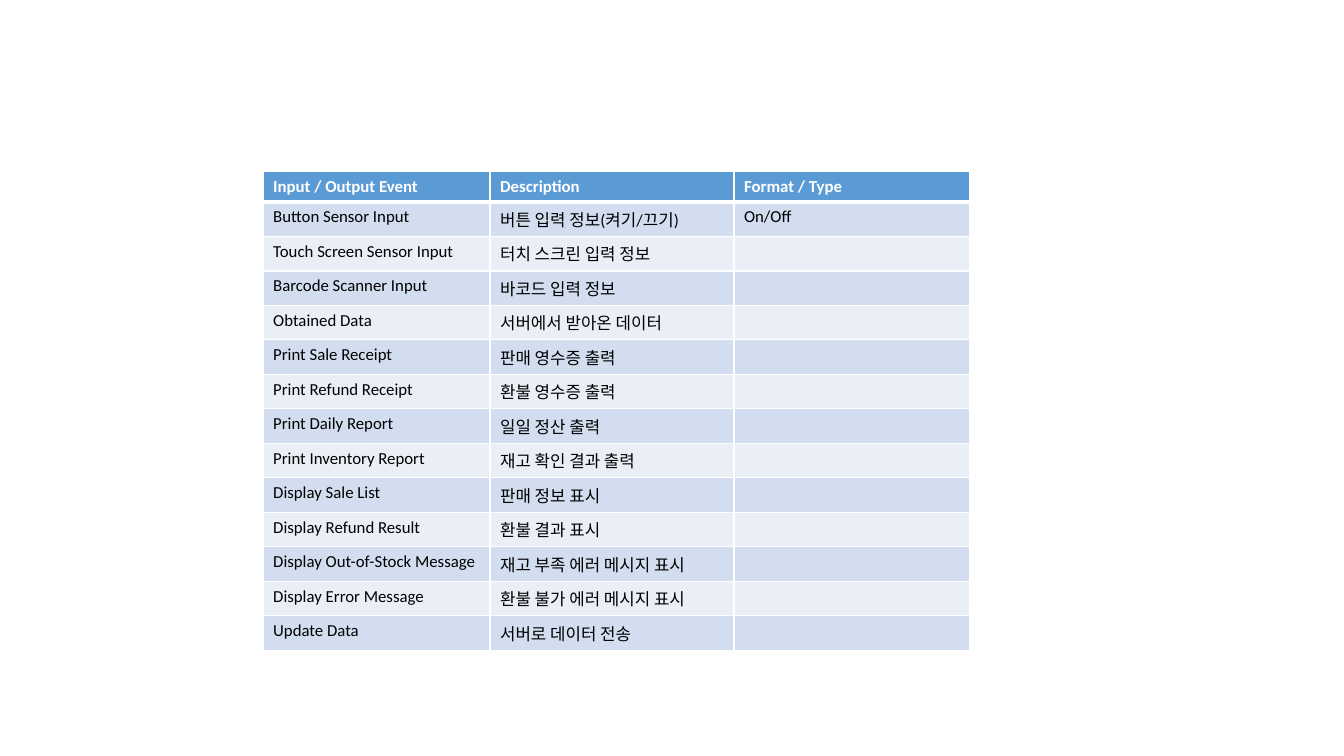
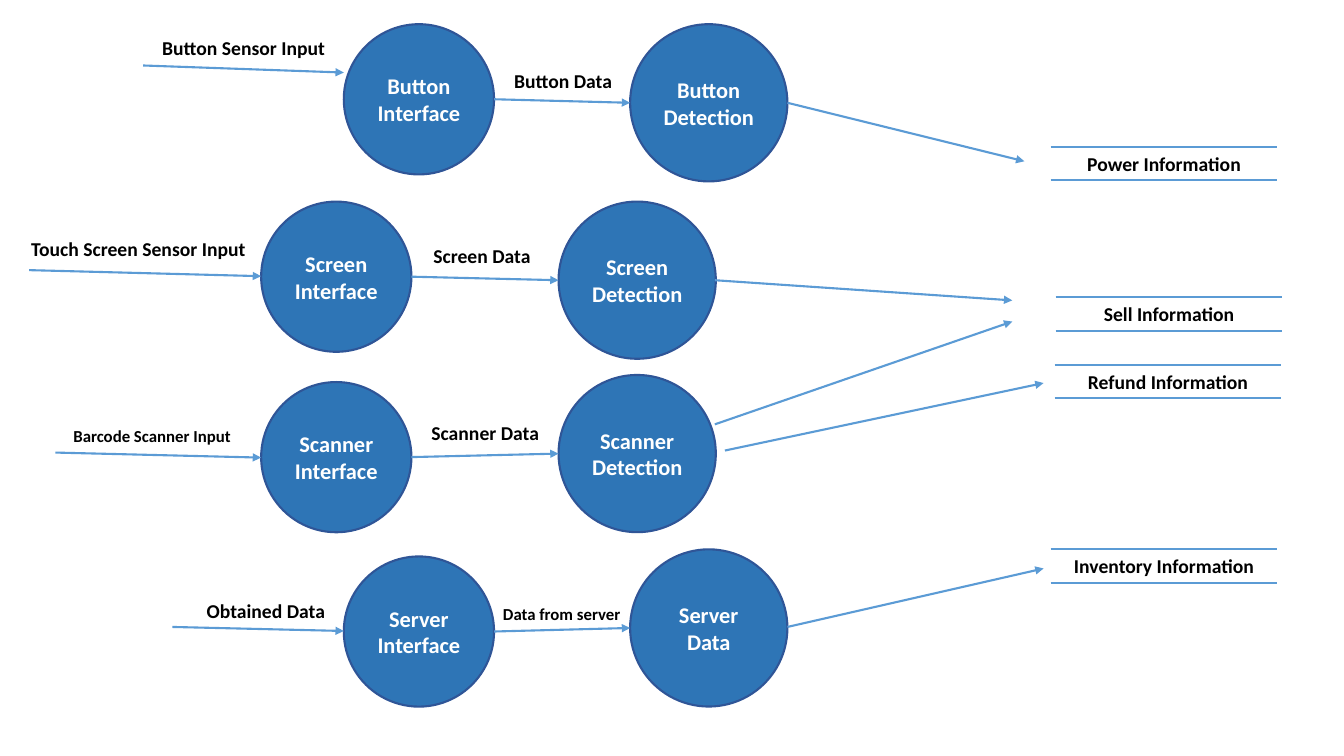
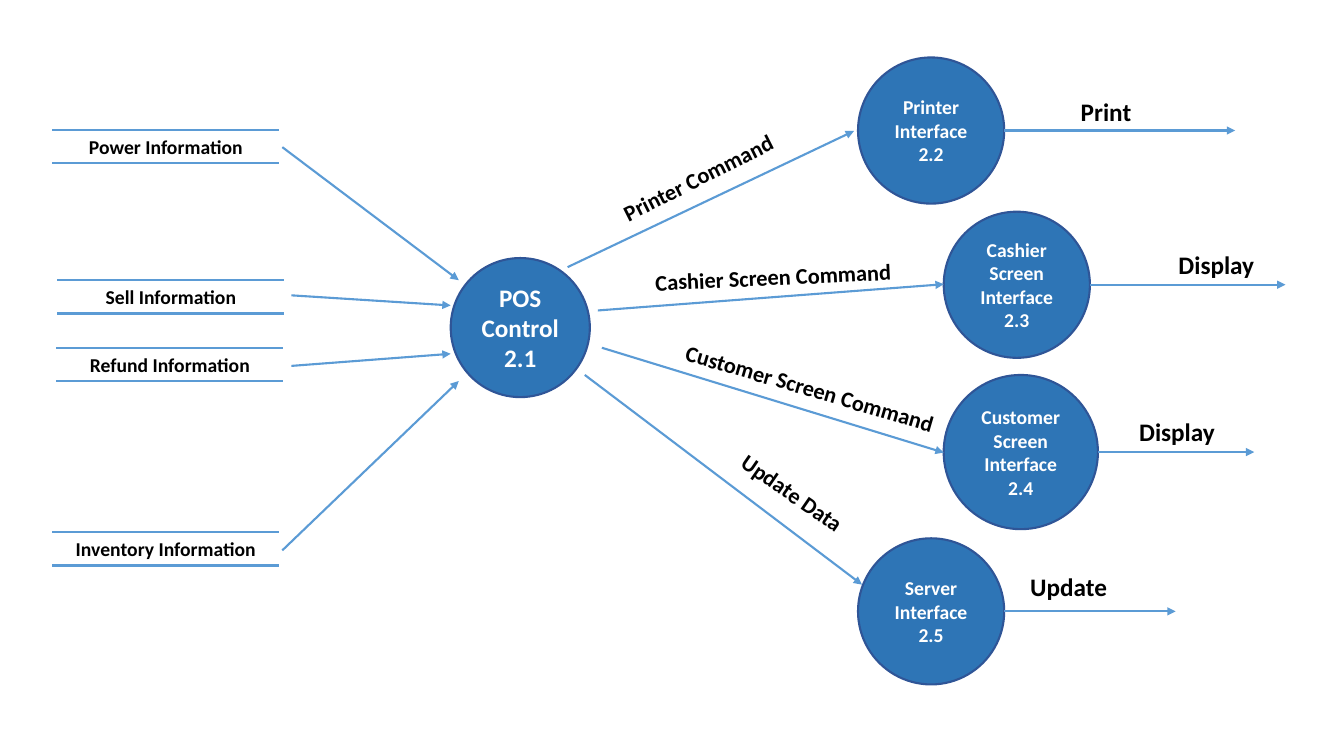
import lxml.etree
import pptx
import pptx.util
import pptx.dml.color
import pptx.enum.shapes
import pptx.enum.text
import pptx.oxml.ns

Inches = pptx.util.Inches
Pt = pptx.util.Pt
ALIGN = pptx.enum.text.PP_ALIGN
ANCHOR = pptx.enum.text.MSO_ANCHOR

# Shared look
FONT = "Calibri"
WHITE, BLACK = "FFFFFF", "000000"
DISC, RIM, LINE = "2E75B6", "2F5597", "5B9BD5"
HEAD, BANDS = "5B9BD5", ("D2DEEF", "EAEFF7")


def paint(color, value):
    color.rgb = pptx.dml.color.RGBColor.from_string(value)


def node(parent, tag, **attrs):
    return lxml.etree.SubElement(parent, pptx.oxml.ns.qn(tag), attrs)


def write(para, text, size, color, bold=True):
    run = para.add_run()
    run.text = text
    run.font.name = FONT
    run.font.size = Pt(size)
    run.font.bold = bold
    paint(run.font.color, color)


def label(slide, text, left, top, width, size=14, align=ALIGN.LEFT, turn=0):
    height = {12: 0.3, 14: 0.34, 16: 0.37, 18: 0.4}[size]
    box = slide.shapes.add_textbox(*map(Inches, (left, top, width, height)))
    box.rotation = turn
    frame = box.text_frame
    frame.word_wrap = False
    frame.auto_size = pptx.enum.text.MSO_AUTO_SIZE.SHAPE_TO_FIT_TEXT
    frame.paragraphs[0].alignment = align
    write(frame.paragraphs[0], text, size, BLACK)


def disc(slide, lines, left, top, side, size):
    shape = slide.shapes.add_shape(
        pptx.enum.shapes.MSO_SHAPE.OVAL, *map(Inches, (left, top, side, side)))
    shape.shadow.inherit = False
    shape.fill.solid()
    paint(shape.fill.fore_color, DISC)
    paint(shape.line.color, RIM)
    shape.line.width = Pt(1.5)
    frame = shape.text_frame
    frame.word_wrap = True
    frame.vertical_anchor = ANCHOR.MIDDLE
    for i, text in enumerate(lines):
        para = frame.add_paragraph() if i else frame.paragraphs[0]
        para.alignment = ALIGN.CENTER
        write(para, text, size, WHITE)


def stroke(slide, start, end, arrow=True):
    line = slide.shapes.add_connector(
        pptx.enum.shapes.MSO_CONNECTOR.STRAIGHT, *map(Inches, start + end))
    paint(line.line.color, LINE)
    line.line.width = Pt(1.5)
    props = line._element.spPr
    if arrow:
        node(props.get_or_add_ln(), "a:tailEnd", type="triangle")
    node(props, "a:effectLst")


# Data stores: a centred label between two rules
STORES = [("Power", 0, 0), ("Sell", 0.05, 1.49),
          ("Refund", 0.04, 2.16), ("Inventory", 0, 3.99)]


def stores(slide, left, top):
    width, height = 2.25, 0.33
    for name, dx, dy in STORES:
        x, y = left + dx, top + dy
        for edge in (y, y + height):
            stroke(slide, (x, edge), (x + width, edge), arrow=False)
        label(slide, name + " Information", x, y, width, align=ALIGN.CENTER)


# Event table
EVENTS = [
    ("Input / Output Event", "Description", "Format / Type"),
    ("Button Sensor Input", "버튼 입력 정보(켜기/끄기)", "On/Off"),
    ("Touch Screen Sensor Input", "터치 스크린 입력 정보", ""),
    ("Barcode Scanner Input", "바코드 입력 정보", ""),
    ("Obtained Data", "서버에서 받아온 데이터", ""),
    ("Print Sale Receipt", "판매 영수증 출력", ""),
    ("Print Refund Receipt", "환불 영수증 출력", ""),
    ("Print Daily Report", "일일 정산 출력", ""),
    ("Print Inventory Report", "재고 확인 결과 출력", ""),
    ("Display Sale List", "판매 정보 표시", ""),
    ("Display Refund Result", "환불 결과 표시", ""),
    ("Display Out-of-Stock Message", "재고 부족 에러 메시지 표시", ""),
    ("Display Error Message", "환불 불가 에러 메시지 표시", ""),
    ("Update Data", "서버로 데이터 전송", ""),
]


def border(cell, side, width):
    edge = node(cell._tc.get_or_add_tcPr(), "a:ln" + side, w=str(int(Pt(width))))
    node(node(edge, "a:solidFill"), "a:srgbClr", val=WHITE)


def events(slide, left, top):
    widths, height = (2.25, 2.42, 2.34), 0.26
    frame = slide.shapes.add_table(
        len(EVENTS), len(widths), Inches(left), Inches(top),
        Inches(sum(widths)), Inches(height * len(EVENTS)))
    table = frame.table
    for col, width in zip(table.columns, widths):
        col.width = Inches(width)
    for r, texts in enumerate(EVENTS):
        table.rows[r].height = Inches(height)
        for c, text in enumerate(texts):
            cell = table.cell(r, c)
            for side in "LRTB":
                thick = (r, side) in ((0, "B"), (1, "T"))
                border(cell, side, 3 if thick else 1)
            cell.fill.solid()
            paint(cell.fill.fore_color, BANDS[(r - 1) % 2] if r else HEAD)
            para = cell.text_frame.paragraphs[0]
            if text:
                write(para, text, 12, BLACK if r else WHITE, bold=r == 0)
            else:
                node(para._p, "a:endParaRPr", sz="1200")


# Input flow: arrow, interface disc, arrow, data disc
def flow(slide, left, top, name, second, step, drops, entry, inlet, link):
    small, large = 1.49, 1.56
    near, far = top + drops[0], top + drops[1]
    right = left + step
    disc(slide, (name, "Interface"), left, near, small, 16)
    disc(slide, (name, second), right, far, large, 16)
    mid, goal = near + small / 2, far + large / 2
    start, end = entry
    stroke(slide, (left + start[0], top + start[1]), (left, top + end))
    stroke(slide, (left + small, mid), (right, goal))
    for text, dx, dy, width, size in (inlet, link):
        label(slide, text, left + dx, top + dy, width, size)


FLOWS = [
    (3.41, 0.24, "Button", "Detection", 2.84, (0, 0), ((-1.99, 0.41), 0.48),
     ("Button Sensor Input", -1.9, 0.07, 1.84, 14),
     ("Button Data", 1.59, 0.39, 1.19, 14)),
    (2.59, 2, "Screen", "Detection", 2.95, (0, 0), ((-2.3, 0.68), 0.74),
     ("Touch Screen Sensor Input", -2.38, 0.3, 2.34, 14),
     ("Screen Data", 1.61, 0.37, 1.17, 14)),
    (2.59, 3.72, "Scanner", "Detection", 2.95, (0.07, 0), ((-2.04, 0.77), 0.82),
     ("Barcode Scanner Input", -1.96, 0.45, 1.76, 12),
     ("Scanner Data", 1.59, 0.41, 1.28, 14)),
    (3.41, 5.45, "Server", "Data", 2.84, (0.07, 0), ((-1.7, 0.77), 0.81),
     ("Obtained Data", -1.46, 0.44, 1.39, 14),
     ("Data from server", 1.48, 0.49, 1.38, 12)),
]
INTO = [((7.81, 1.02), (10.16, 1.6)), ((7.09, 2.78), (10.04, 2.98)),
        ((7.09, 4.21), (10.04, 3.19)), ((7.19, 4.47), (10.35, 3.8)),
        ((7.81, 6.22), (10.35, 5.64))]


# Output branch: command arrow, interface disc, result arrow
def branch(slide, left, top, side, lines, command, arrow, result, reach):
    disc(slide, lines, left, top, side, 14)
    start, end = arrow
    stroke(slide, start, (left + end[0], top + end[1]))
    text, dx, dy, width, turn = command
    label(slide, text, left + dx, top + dy, width, 16, turn=turn)
    mid = top + side / 2
    stroke(slide, (left + side, mid), (left + side + reach, mid))
    text, dx, dy, width = result
    label(slide, text, left + dx, top + dy, width, 18)


BRANCHES = [
    (8.51, 0.57, 1.45, ("Printer", "Interface", "2.2"),
     ("Printer Command", -2.5, 1, 1.85, -26.7),
     ((5.63, 2.65), (-0.04, 0.73)), ("Print", 2.11, 0.34, 0.71), 2.29),
    (9.36, 2.1, 1.45, ("Cashier", "Screen", "Interface", "2.3"),
     ("Cashier Screen Command", -2.96, 0.46, 2.57, -2.7),
     ((5.93, 3.08), (0, 0.72)), ("Display", 2.23, 0.32, 0.96), 1.94),
    (9.36, 3.72, 1.53, ("Customer", "Screen", "Interface", "2.4"),
     ("Customer Screen Command", -2.7, -0.05, 2.78, 16.3),
     ((5.97, 3.45), (0, 0.77)), ("Display", 1.84, 0.36, 0.96), 1.55),
    (8.51, 5.34, 1.45, ("Server", "Interface", "2.5"),
     ("Update Data", -1.33, -0.63, 1.37, 34.7),
     ((5.8, 3.72), (0.04, 0.46)), ("Update", 1.61, 0.28, 0.97), 1.7),
]
FROM = [((2.8, 1.46), (4.55, 2.78)), ((2.89, 2.93), (4.47, 3.03)),
        ((2.89, 3.63), (4.47, 3.51)), ((2.8, 5.46), (4.55, 3.78))]


def main():
    deck = pptx.Presentation()
    deck.slide_width, deck.slide_height = Inches(13.33), Inches(7.5)
    blank = deck.slide_layouts[6]

    # Events
    events(deck.slides.add_slide(blank), 2.61, 1.7)

    # Inputs to stores
    slide = deck.slides.add_slide(blank)
    for item in FLOWS:
        flow(slide, *item)
    for start, end in INTO:
        stroke(slide, start, end)
    stores(slide, 10.42, 1.46)

    # Stores to outputs
    slide = deck.slides.add_slide(blank)
    stores(slide, 0.52, 1.29)
    disc(slide, ("POS", "Control", "2.1"), 4.47, 2.56, 1.38, 18)
    for start, end in FROM:
        stroke(slide, start, end)
    for item in BRANCHES:
        branch(slide, *item)

    deck.save("out.pptx")


if __name__ == "__main__":
    main()
